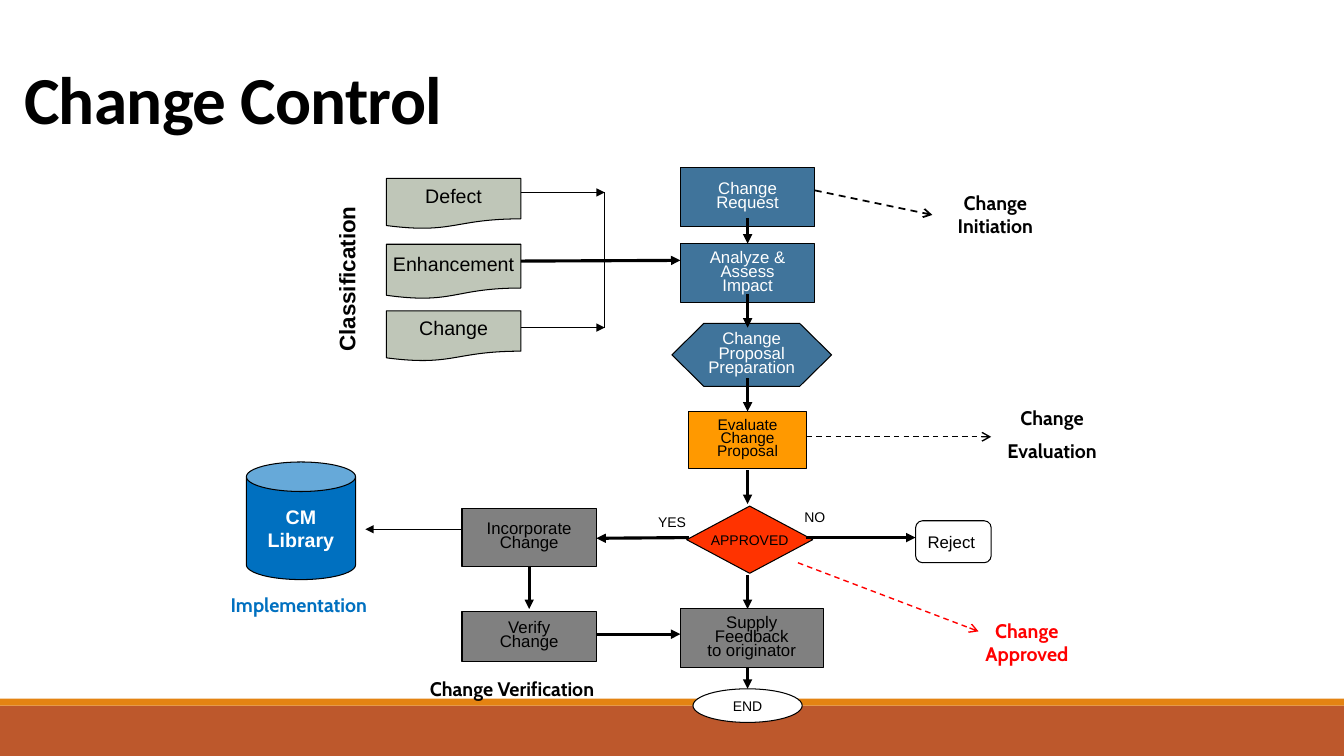
from lxml.etree import SubElement
from pptx import Presentation
from pptx.dml.color import RGBColor
from pptx.enum.dml import MSO_LINE
from pptx.enum.shapes import MSO_CONNECTOR, MSO_SHAPE
from pptx.enum.text import MSO_ANCHOR, MSO_AUTO_SIZE, PP_ALIGN
from pptx.oxml.ns import qn
from pptx.util import Pt

COLORS = {
    "black": "000000", "white": "FFFFFF", "rust": "BD582C", "amber": "E48312",
    "sage": "BFC6B8", "steel": "40749B", "orange": "FF9900", "gray": "808080",
    "flame": "FF3300", "blue": "0070C0", "red": "FF0000",
}
PROCESS = MSO_SHAPE.FLOWCHART_PROCESS


def color(name):
    return RGBColor.from_string(COLORS[name])


def write(frame, text, size=12, ink="black", bold=False, face="Arial",
          align=PP_ALIGN.CENTER, pitch=1.0, gap=0):
    for index, line in enumerate(text.split("\n")):
        para = frame.paragraphs[0] if index == 0 else frame.add_paragraph()
        para.alignment = align
        para.line_spacing = pitch
        para.space_before = Pt(gap if index else 0)
        run = para.add_run()
        run.text = line
        run.font.size = Pt(size)
        run.font.name = face
        run.font.bold = bold
        run.font.color.rgb = color(ink)


def block(slide, kind, box, fill, text="", edge="black", **style):
    shape = slide.shapes.add_shape(kind, *map(Pt, box))
    shape.shadow.inherit = False
    shape.fill.solid()
    shape.fill.fore_color.rgb = color(fill)
    if edge:
        shape.line.color.rgb = color(edge)
        shape.line.width = Pt(0.75)
    else:
        shape.line.fill.background()
    if text:
        frame = shape.text_frame
        frame.word_wrap = False
        frame.vertical_anchor = MSO_ANCHOR.MIDDLE
        write(frame, text, **style)
    return shape


def label(slide, box, text, turn=0, **style):
    area = slide.shapes.add_textbox(*map(Pt, box))
    area.rotation = turn
    area.text_frame.word_wrap = True
    write(area.text_frame, text, **style)


def link(slide, start, end, width=2.25, ink="black", head="triangle", dash=False):
    line = slide.shapes.add_connector(MSO_CONNECTOR.STRAIGHT, *map(Pt, start + end))
    line.line.color.rgb = color(ink)
    line.line.width = Pt(width)
    if dash:
        line.line.dash_style = MSO_LINE.DASH
    if head:
        SubElement(line.line._get_or_add_ln(), qn("a:tailEnd"), type=head)
    SubElement(line._element.spPr, qn("a:effectLst"))


def footer(slide, box):
    x, y, w, h = box
    block(slide, MSO_SHAPE.RECTANGLE, (x, y + 5, w, h - 5), "rust", edge=None)
    block(slide, MSO_SHAPE.RECTANGLE, (x, y, w, 5), "amber", edge=None)


def heading(slide, box):
    title = slide.shapes.title
    title.left, title.top, title.width, title.height = map(Pt, box)
    frame = title.text_frame
    frame.word_wrap = True
    frame.auto_size = MSO_AUTO_SIZE.NONE
    frame.vertical_anchor = MSO_ANCHOR.BOTTOM
    write(frame, "Change Control", size=48, bold=True, face="Calibri",
          align=PP_ALIGN.LEFT, pitch=0.85)
    frame.paragraphs[0].runs[0].font._element.set("spc", "-50")


def classes(slide, box):
    x, y, w, h = box
    docs = [("Defect", 0, 36), ("Enhancement", 47, 39), ("Change", 94.5, 36)]
    for text, top, tall in docs:
        block(slide, MSO_SHAPE.FLOWCHART_DOCUMENT, (x + 36, y + top, 96, tall),
              "sage", text, size=14, pitch=0.7)
    label(slide, (x - 61.5, y + 48.5, 138, 26.5), "Classification", turn=270,
          size=16, bold=True, align=PP_ALIGN.LEFT)
    edge, spine = x + 132, x + 192
    high, low = y + 10, y + 106.5
    for level in (high, low):
        link(slide, (edge, level), (spine, level), 0.75)
    link(slide, (spine, low), (spine, high), 0.75, head=None)
    link(slide, (edge, y + 59), (x + w, y + 58.5))


def process(slide, box):
    x, y, w, h = box
    steps = [
        (PROCESS, 6, 0, 96, 42, "steel", "Change\nRequest", 12, "white", 0.7),
        (PROCESS, 6, 54, 96, 42, "steel", "Analyze &\nAssess\nImpact", 12, "white", 0.7),
        (MSO_SHAPE.FLOWCHART_PREPARATION, 0, 111, w, 45, "steel",
         "Change\nProposal\nPreparation", 12, "white", 0.7),
        (PROCESS, 12, 174, 84, 40.5, "orange", "Evaluate\nChange\nProposal", 11, "black", 0.7),
        (MSO_SHAPE.FLOWCHART_DECISION, 10.5, 241.5, 90, 48, "flame",
         "APPROVED", 10, "black", 1.0),
        (PROCESS, 6, 315, 102, 42, "gray", "Supply\nFeedback\nto originator", 12, "black", 0.7),
        (MSO_SHAPE.FLOWCHART_CONNECTOR, 15, 372, 78, 24, "white", "END", 10, "black", 1.0),
    ]
    for kind, left, top, wide, tall, fill, text, size, ink, pitch in steps:
        block(slide, kind, (x + left, y + top, wide, tall), fill, text,
              size=size, ink=ink, pitch=pitch)
    axis = x + 54
    for top, end in [(36, 54), (90, 114), (150, 174), (216, 240), (291, 315), (357, 372)]:
        link(slide, (axis, y + top), (axis, y + end))


def reject(slide, box):
    x, y, w, h = box
    block(slide, MSO_SHAPE.ROUNDED_RECTANGLE, (x + w - 54, y + 12, 54, 30),
          "white", "Reject", align=PP_ALIGN.LEFT)
    label(slide, (x - 18, y, 48, 19.5), "NO", size=10)
    link(slide, (x, y + 24), (x + w - 54, y + 24))


def deliver(slide, box):
    x, y, w, h = box
    can = block(slide, MSO_SHAPE.CAN, (x + 43.5, y, 78, 84), "blue", "CM\nLibrary",
                size=14, bold=True, ink="white")
    can.adjustments[0] = 0.27
    left = x + 197.5
    for text, top, tall in [("Incorporate\nChange", 33, 42), ("Verify\nChange", 106.5, 36)]:
        block(slide, PROCESS, (left, y + top, 96, tall), "gray", text, pitch=0.7)
    right = left + 96
    link(slide, (x + w, y + 54), (right, y + 54.5))
    link(slide, (left + 48, y + 75), (left + 48, y + 105))
    link(slide, (right, y + 123), (x + w - 6, y + 123))
    link(slide, (left, y + 48), (left - 69, y + 48), 0.75)
    label(slide, (x + w - 36, y + 33, 48, 19.5), "YES", size=10)
    label(slide, (x, y + 90, 162, 24), "Implementation", size=14,
          ink="blue", bold=True, face="Cabin")
    label(slide, (x + 167.5, y + 150, 162, 24), "Change Verification", size=14,
          bold=True, face="Cabin", align=PP_ALIGN.LEFT)


def stages(slide, box):
    x, y, w, h = box
    notes = [
        ("Change\nInitiation", (96, 0, 90, 41), (12, 3.5), (96, 21), 1.25, "black", 0),
        ("Change\nEvaluation", (132, 154, 99, 50), (6, 179.5), (138, 179.5), 1, "black", 7),
        ("Change\nApproved", (111, 306, 105, 41), (0, 269.5), (129, 318.5), 1, "red", 0),
    ]
    for text, (left, top, wide, tall), start, end, width, ink, gap in notes:
        label(slide, (x + left, y + top, wide, tall), text, size=14, ink=ink,
              bold=True, face="Cabin", gap=gap)
        link(slide, (x + start[0], y + start[1]), (x + end[0], y + end[1]),
             width, ink, head="arrow", dash=True)


def main():
    deck = Presentation()
    deck.slide_width, deck.slide_height = Pt(960), Pt(540)
    slide = deck.slides.add_slide(deck.slide_layouts[5])
    footer(slide, (0, 499, 960, 41))
    heading(slide, (10, 12, 648, 90))
    classes(slide, (240, 127.5, 246, 130.5))
    process(slide, (480, 120, 114, 396))
    reject(slide, (576, 360, 132, 42))
    deliver(slide, (132.5, 330, 359.5, 174))
    stages(slide, (570, 132.5, 231, 347))
    deck.save("out.pptx")


if __name__ == "__main__":
    main()
